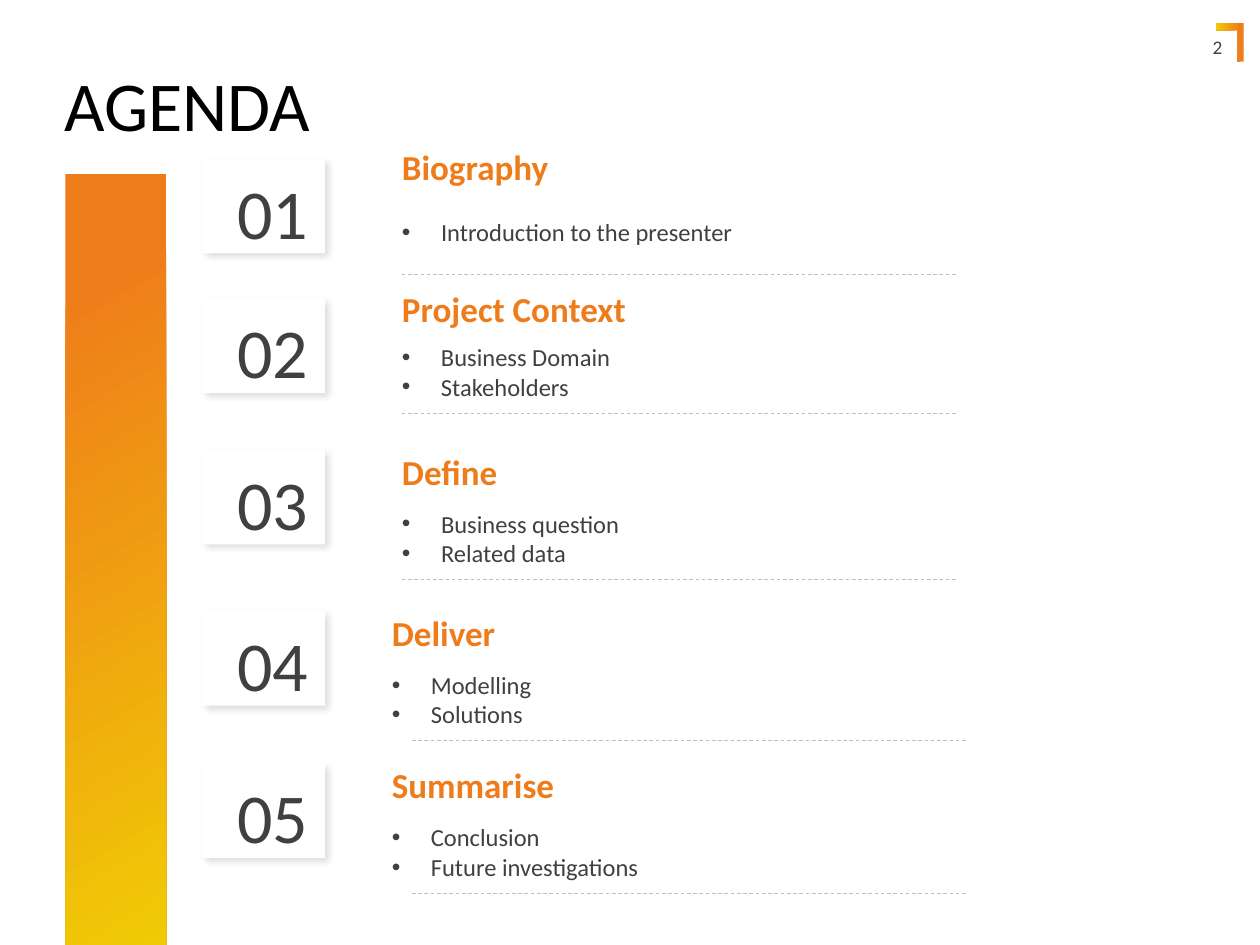
from dataclasses import dataclass

import pptx
import pptx.dml.color
import pptx.enum.dml
import pptx.enum.shapes
import pptx.enum.text
import pptx.oxml
import pptx.oxml.ns
import pptx.util

RGBColor = pptx.dml.color.RGBColor
Align = pptx.enum.text.PP_ALIGN

EMU_PER_PX = 9144  # 100 px to the inch
FONT = "Calibri"
ORANGE = RGBColor(0xEF, 0x7C, 0x1B)
YELLOW = RGBColor(0xF0, 0xCB, 0x05)
BLACK = RGBColor(0x00, 0x00, 0x00)
DARK_GREY = RGBColor(0x40, 0x40, 0x40)
RULE_GREY = RGBColor(0xBF, 0xBF, 0xBF)
WHITE = RGBColor(0xFF, 0xFF, 0xFF)

CARD_LEFT, CARD_WIDTH, CARD_HEIGHT = 161, 97, 75
NUMBER_LEFT, NUMBER_WIDTH, NUMBER_HEIGHT, NUMBER_DROP = 178, 77, 67, 8
HEADING_HEIGHT, LINE_HEIGHT = 34, 24
RULE_WIDTH, BULLET_INDENT = 441, 31


@dataclass(frozen=True)
class TextStyle:
    size: int
    color: RGBColor
    bold: bool = False
    align: Align = Align.LEFT


TITLE = TextStyle(40, BLACK)
NUMBER = TextStyle(40, DARK_GREY, align=Align.CENTER)
HEADING = TextStyle(20, ORANGE, bold=True)
BODY = TextStyle(14, DARK_GREY)
PAGE_NUMBER = TextStyle(11, DARK_GREY, align=Align.RIGHT)


@dataclass(frozen=True)
class Topic:
    heading: str
    bullets: tuple[str, ...]
    card_top: int
    heading_top: int
    body_top: int
    rule_top: int
    text_left: int = 319
    text_width: int = 465
    rule_left: int = 319


TOPICS = (
    Topic("Biography", ("Introduction to the presenter",), 126, 115, 172, 218),
    Topic("Project Context", ("Business Domain", "Stakeholders"),
          237, 228, 271, 328, text_width=480),
    Topic("Define", ("Business question", "Related data"), 357, 357, 403, 460),
    Topic("Deliver", ("Modelling", "Solutions"), 485, 485, 531, 588, 311, 472, 327),
    Topic("Summarise", ("Conclusion", "Future investigations"),
          606, 606, 652, 709, 311, 472, 327),
)


def px(length: int) -> pptx.util.Emu:
    return pptx.util.Emu(length * EMU_PER_PX)


def add_text(page, text: str, left: int, top: int, width: int, height: int,
             style: TextStyle, inset: int = 0):
    box = page.shapes.add_textbox(px(left), px(top), px(width), px(height))
    frame = box.text_frame
    frame.word_wrap = True
    frame.vertical_anchor = pptx.enum.text.MSO_ANCHOR.MIDDLE
    frame.margin_left = frame.margin_right = px(inset)
    frame.margin_top = frame.margin_bottom = px(inset // 2)
    frame.text = text
    for para in frame.paragraphs:
        para.alignment = style.align
        for span in para.runs:
            span.font.name = FONT
            span.font.size = pptx.util.Pt(style.size)
            span.font.bold = style.bold
            span.font.color.rgb = style.color
    return box


def add_bullets(box) -> None:
    for para in box.text_frame.paragraphs:
        properties = para._p.get_or_add_pPr()
        properties.set("marL", str(px(BULLET_INDENT)))
        properties.set("indent", str(-px(BULLET_INDENT)))
        for tag, name, value in (("buFont", "typeface", "Arial"), ("buChar", "char", "•")):
            bullet = pptx.oxml.ns.qn(f"a:{tag}")
            properties.makeelement(bullet)
            child = properties.makeelement(bullet, {name: value})
            properties.append(child)


def fill_gradient(shape, first_stop: float, angle: int) -> None:
    """Blend orange to yellow, with the angle counted anticlockwise."""
    shape.shadow.inherit = False
    shape.line.fill.background()
    shape.fill.gradient()
    shape.fill.gradient_angle = angle
    for stop, position, color in zip(
            shape.fill.gradient_stops, (first_stop, 1.0), (ORANGE, YELLOW)):
        stop.position = position
        stop.color.rgb = color


def add_rectangle(page, left: int, top: int, width: int, height: int):
    return page.shapes.add_shape(
        pptx.enum.shapes.MSO_SHAPE.RECTANGLE, px(left), px(top), px(width), px(height))


def add_corner(page) -> None:
    builder = page.shapes.build_freeform(965, 18, scale=EMU_PER_PX)
    builder.add_line_segments(
        [(987, 18), (987, 49), (982, 49), (982, 24), (965, 24)], close=True)
    fill_gradient(builder.convert_to_shape(), 0.12, 180)


def add_card(page, top: int) -> None:
    """Draw a white card with a soft shadow to the lower right."""
    card = add_rectangle(page, CARD_LEFT, top, CARD_WIDTH, CARD_HEIGHT)
    card.fill.solid()
    card.fill.fore_color.rgb = WHITE
    card.line.fill.background()
    card.shadow.inherit = False
    effects = card._element.spPr.find(pptx.oxml.ns.qn("a:effectLst"))
    effects.append(pptx.oxml.parse_xml(
        f'<a:outerShdw {pptx.oxml.ns.nsdecls("a")} blurRad="50800" dist="38100" '
        'dir="2700000" algn="tl" rotWithShape="0"><a:srgbClr val="000000">'
        '<a:alpha val="13000"/></a:srgbClr></a:outerShdw>'))


def add_rule(page, left: int, top: int) -> None:
    rule = page.shapes.add_connector(
        pptx.enum.shapes.MSO_CONNECTOR.STRAIGHT,
        px(left), px(top), px(left + RULE_WIDTH), px(top))
    rule.line.color.rgb = RULE_GREY
    rule.line.width = pptx.util.Pt(0.5)
    rule.line.dash_style = pptx.enum.dml.MSO_LINE.DASH
    rule._element.spPr.append(
        pptx.oxml.parse_xml(f'<a:effectLst {pptx.oxml.ns.nsdecls("a")}/>'))


def add_topic(page, number: int, topic: Topic) -> None:
    add_card(page, topic.card_top)
    add_text(page, f"{number:02d}", NUMBER_LEFT, topic.card_top + NUMBER_DROP,
             NUMBER_WIDTH, NUMBER_HEIGHT, NUMBER)
    body = add_text(page, "\n".join(topic.bullets), topic.text_left, topic.body_top,
                    topic.text_width, LINE_HEIGHT * len(topic.bullets), BODY)
    add_bullets(body)
    add_text(page, topic.heading, topic.text_left, topic.heading_top,
             topic.text_width, HEADING_HEIGHT, HEADING)
    add_rule(page, topic.rule_left, topic.rule_top)


def main() -> None:
    deck = pptx.Presentation()
    deck.slide_width, deck.slide_height = px(1000), px(750)
    page = deck.slides.add_slide(deck.slide_layouts[6])
    add_corner(page)
    fill_gradient(add_rectangle(page, 52, 138, 80, 612), 0.14, 300)
    title = add_text(page, "AGENDA", 51, 56, 284, 61, TITLE)
    title.text_frame.paragraphs[0].line_spacing = 0.9
    for number, topic in enumerate(TOPICS, start=1):
        add_topic(page, number, topic)
    add_text(page, "2", 948, 26, 32, 23, PAGE_NUMBER, inset=10)
    deck.save("out.pptx")


if __name__ == "__main__":
    main()
